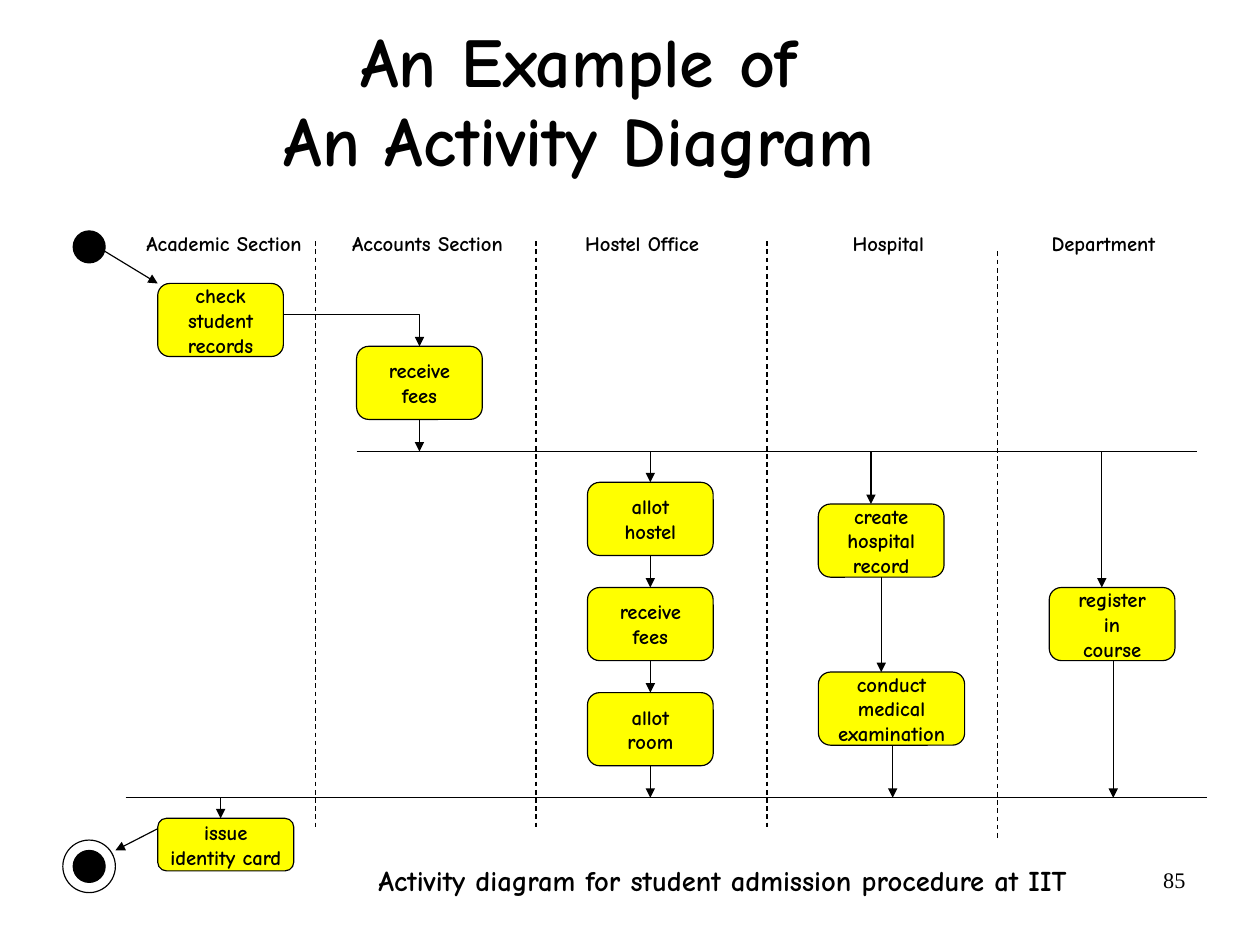
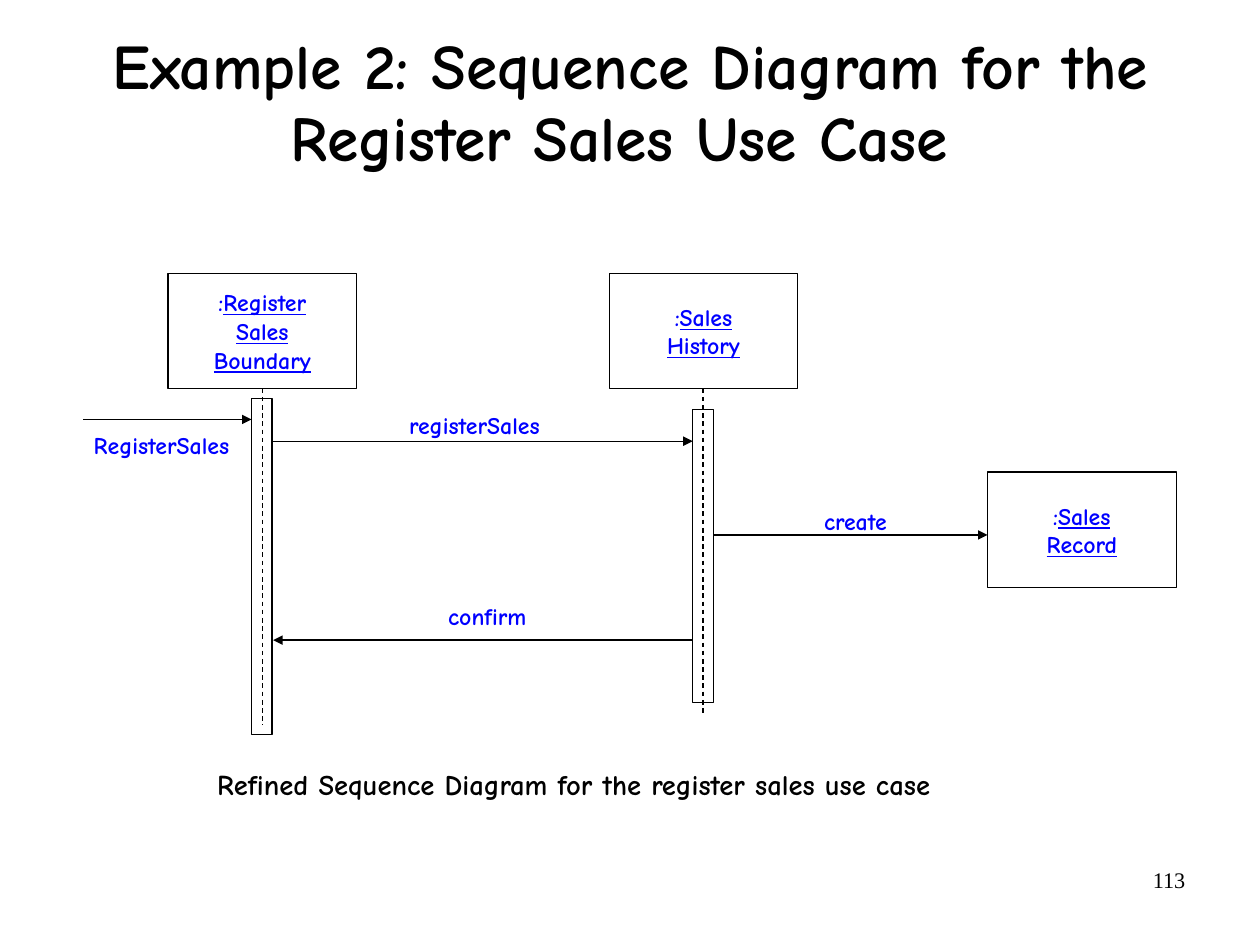
"""Build an activity diagram slide and a sequence diagram slide."""
from dataclasses import dataclass

from lxml import etree
from pptx import Presentation
from pptx.dml.color import RGBColor
from pptx.enum import dml, shapes, text
from pptx.oxml.ns import qn
from pptx.util import Cm, Inches, Pt


@dataclass(frozen=True)
class Theme:
    """Hold the colours, fonts and sizes."""
    ink: str = "000000"
    node: str = "FFFF00"
    blue: str = "0000FF"
    font: str = "Comic Neue"
    serif: str = "Times New Roman"
    thin: float = 0.75
    step: int = 13
    label: int = 15
    note: int = 18
    page: int = 14


T = Theme()
KIND = shapes.MSO_SHAPE
ALIGN = text.PP_ALIGN
PAD = (0.11, 0.06)

ACTIVE = {
    "title": "An Example of \vAn Activity Diagram ",
    "box": (0.49, 0.16, 9.37, 1.49), "size": 44, "page": "85",
}
LANES = [
    ("Academic Section", 1.28, 1.36), ("Accounts Section", 3.08, 1.32),
    ("Hostel Office", 5.12, 1), ("Hospital", 7.46, 0.63),
    ("Department", 9.2, 0.91),
]
LANE_TOP = 2.02
SPLITS = [(2.76, 2.11), (4.69, 2.11), (6.71, 2.11), (8.73, 2.2)]
SPLIT_LONG = 5.14
STEP_W, STEP_H = 1.1, 0.64
STEPS = [
    ("check\nstudent\nrecords", 1.38, 2.48, STEP_W, STEP_H),
    ("receive\nfees", 3.12, 3.03, STEP_W, STEP_H),
    ("create\nhospital\nrecord", 7.16, 4.41, STEP_W, STEP_H),
    ("conduct\nmedical\nexamination", 7.16, 5.88, 1.28, STEP_H),
    ("register\nin\ncourse", 9.18, 5.14, STEP_W, STEP_H),
    ("issue\nidentity card", 1.38, 7.16, 1.19, 0.46),
]
HOSTEL = ["allot\nhostel", "receive\nfees", "allot\nroom"]
HOSTEL_X, HOSTEL_Y, HOSTEL_GAP = 5.14, 4.22, 0.92
FORK, JOIN = 3.95, 6.98
BARS = [(3.12, 10.47, FORK), (1.1, 10.56, JOIN)]
DROPS = [
    (3.67, 3.67, FORK), (7.62, FORK, 4.41), (7.71, 5.05, 5.88),
    (7.81, 6.52, JOIN), (9.64, FORK, 5.14), (9.74, 5.78, JOIN),
    (1.93, JOIN, 7.16),
]
SLANTS = [(0.92, 2.2, 1.38, 2.48), (1.38, 7.25, 1.01, 7.44)]
BEND = [(2.48, 2.75), (3.67, 2.75), (3.67, 3.03)]
DOTS = [(0.78, 2.16, 0.28, T.ink), (0.78, 7.58, 0.28, T.ink),
        (0.78, 7.58, 0.46, None)]
ACTIVE_NOTE = ("Activity diagram for student admission procedure at IIT",
               3.2, 7.49, 6.27, 0.41)

SEQUENCE = {
    "title": "Example 2: Sequence Diagram for the Register Sales Use Case ",
    "box": (0.28, 0.2, 10.47, 1.42), "size": 40, "page": "113",
}
PARTS = [(":Register\nSales\nBoundary", 1.47, 2.39),
         (":Sales\nHistory", 5.33, 2.39), (":Sales\nRecord", 8.64, 4.13)]
PART_W, PART_H = 1.65, 1.01
LIVES = [(2.2, 3.49, 2.94, 2.3, 6.34), (6.06, 3.58, 2.57, 6.15, 6.25)]
BAR_W = 0.18
CALLS = [
    ("RegisterSales", 0.82, 3.77, 1.19, 0.73, 2.2, 3.67),
    ("registerSales", 3.58, 3.59, 1.15, 2.39, 6.06, 3.86),
    ("create", 7.21, 4.43, 0.56, 6.25, 8.64, 4.68),
    ("confirm", 3.92, 5.26, 0.69, 6.06, 2.39, 5.6),
]
SEQUENCE_NOTE = ("Refined Sequence Diagram for the register sales use case",
                 1.9, 6.71, 6.27, 0.3)


def write(shape, words, *, size, color=T.ink, font=T.font, bold=True,
          align=ALIGN.LEFT, anchor=text.MSO_ANCHOR.TOP, pad=(0, 0),
          wrap=False, fit=False, under=False, space=None):
    """Fill a shape with text, one paragraph a line."""
    frame = shape.text_frame
    auto = text.MSO_AUTO_SIZE
    frame.auto_size = auto.SHAPE_TO_FIT_TEXT if fit else auto.NONE
    frame.word_wrap, frame.vertical_anchor = wrap, anchor
    frame.margin_left = frame.margin_right = Inches(pad[0])
    frame.margin_top = frame.margin_bottom = Inches(pad[1])
    for i, line in enumerate(words.split("\n")):
        para = frame.add_paragraph() if i else frame.paragraphs[0]
        para.alignment = align
        if space:
            para.line_spacing = space
        if under and line.startswith(":"):
            para.text = ":"
            para.add_run().text = line[1:]
        else:
            para.text = line
        for run in para.runs:
            face = run.font
            face.name, face.size, face.bold = font, Pt(size), bold
            face.color.rgb = RGBColor.from_string(color)
            if under and run.text != ":":
                face.underline = True


def label(slide, words, x, y, w, h, **form):
    """Add a text box."""
    box = slide.shapes.add_textbox(*map(Inches, (x, y, w, h)))
    write(box, words, **form)


def outline(shape, fill=None):
    """Give a shape its thin line and its fill."""
    shape.shadow.inherit = False
    if fill:
        shape.fill.solid()
        shape.fill.fore_color.rgb = RGBColor.from_string(fill)
    else:
        shape.fill.background()
    shape.line.color.rgb = RGBColor.from_string(T.ink)
    shape.line.width = Pt(T.thin)


def block(slide, kind, x, y, w, h, fill=None):
    """Add a preset shape."""
    shape = slide.shapes.add_shape(kind, *map(Inches, (x, y, w, h)))
    outline(shape, fill)
    return shape


def point(shape):
    """Put an arrowhead at the end of a line."""
    etree.SubElement(shape.line._get_or_add_ln(), qn("a:tailEnd"),
                     type="triangle")


def line(slide, x1, y1, x2, y2, dash=False, arrow=False):
    """Add a straight line or arrow."""
    link = slide.shapes.add_connector(
        shapes.MSO_CONNECTOR.STRAIGHT, *map(Inches, (x1, y1, x2, y2)))
    link.line.color.rgb = RGBColor.from_string(T.ink)
    link.line.width = Pt(T.thin)
    if dash:
        link.line.dash_style = dml.MSO_LINE.DASH
    if arrow:
        point(link)
    etree.SubElement(link._element.spPr, qn("a:effectLst"))


def start(deck, facts):
    """Add a slide with its title and page number."""
    slide = deck.slides.add_slide(deck.slide_layouts[5])
    title = slide.shapes.title
    title.left, title.top, title.width, title.height = map(
        Inches, facts["box"])
    write(title, facts["title"], size=facts["size"], align=ALIGN.CENTER,
          anchor=text.MSO_ANCHOR.MIDDLE, pad=(0.02, 0.06), wrap=True,
          space=0.94)
    label(slide, facts["page"], 7.9, 7.53, 2.57, 0.57, size=T.page,
          font=T.serif, bold=False, align=ALIGN.RIGHT, pad=(0.1, 0.05),
          wrap=True)
    return slide


def active(deck):
    """Draw the activity diagram."""
    slide = start(deck, ACTIVE)
    for x, y, size, fill in DOTS:
        block(slide, KIND.OVAL, x - size / 2, y - size / 2, size, size, fill)
    for name, x, w in LANES:
        label(slide, name, x, LANE_TOP, w, 0.22, size=T.step, fit=True)
    for x, y in SPLITS:
        line(slide, x, y, x, y + SPLIT_LONG, dash=True)

    tops = [HOSTEL_Y + i * HOSTEL_GAP for i in range(len(HOSTEL))]
    rooms = [(words, HOSTEL_X, y, STEP_W, STEP_H)
             for words, y in zip(HOSTEL, tops)]
    for words, *place in STEPS + rooms:
        node = block(slide, KIND.ROUNDED_RECTANGLE, *place, fill=T.node)
        write(node, words, size=T.step, align=ALIGN.CENTER,
              anchor=text.MSO_ANCHOR.MIDDLE, pad=PAD)

    for left, right, y in BARS:
        line(slide, left, y, right, y)
    mid = HOSTEL_X + STEP_W / 2
    ends = [FORK] + [y + STEP_H for y in tops]
    chain = [(mid, a, b) for a, b in zip(ends, tops + [JOIN])]
    for x, a, b in DROPS + chain:
        line(slide, x, a, x, b, arrow=True)
    for slant in SLANTS:
        line(slide, *slant, arrow=True)

    first, *rest = [tuple(map(Inches, spot)) for spot in BEND]
    route = slide.shapes.build_freeform(*first)
    route.add_line_segments(rest, close=False)
    bend = route.convert_to_shape()
    outline(bend)
    point(bend)
    label(slide, *ACTIVE_NOTE, size=T.note, pad=PAD, fit=True)


def sequence(deck):
    """Draw the sequence diagram."""
    slide = start(deck, SEQUENCE)
    for words, x, y in PARTS:
        part = block(slide, KIND.RECTANGLE, x, y, PART_W, PART_H)
        write(part, words, size=T.label, color=T.blue, align=ALIGN.CENTER,
              anchor=text.MSO_ANCHOR.MIDDLE, pad=PAD, under=True)
    for x, y, h, mid, end in LIVES:
        block(slide, KIND.RECTANGLE, x, y, BAR_W, h)
        line(slide, mid, PARTS[0][2] + PART_H, mid, end, dash=True)
    for words, x, y, w, tail, head, level in CALLS:
        label(slide, words, x, y, w, 0.25, size=T.label, color=T.blue,
              fit=True)
        line(slide, tail, level, head, level, arrow=True)
    label(slide, *SEQUENCE_NOTE, size=T.note, fit=True)


def main():
    """Build and save the deck."""
    deck = Presentation()
    deck.slide_width = Cm(28)
    deck.slide_height = Cm(21)
    active(deck)
    sequence(deck)
    deck.save("out.pptx")


if __name__ == "__main__":
    main()
